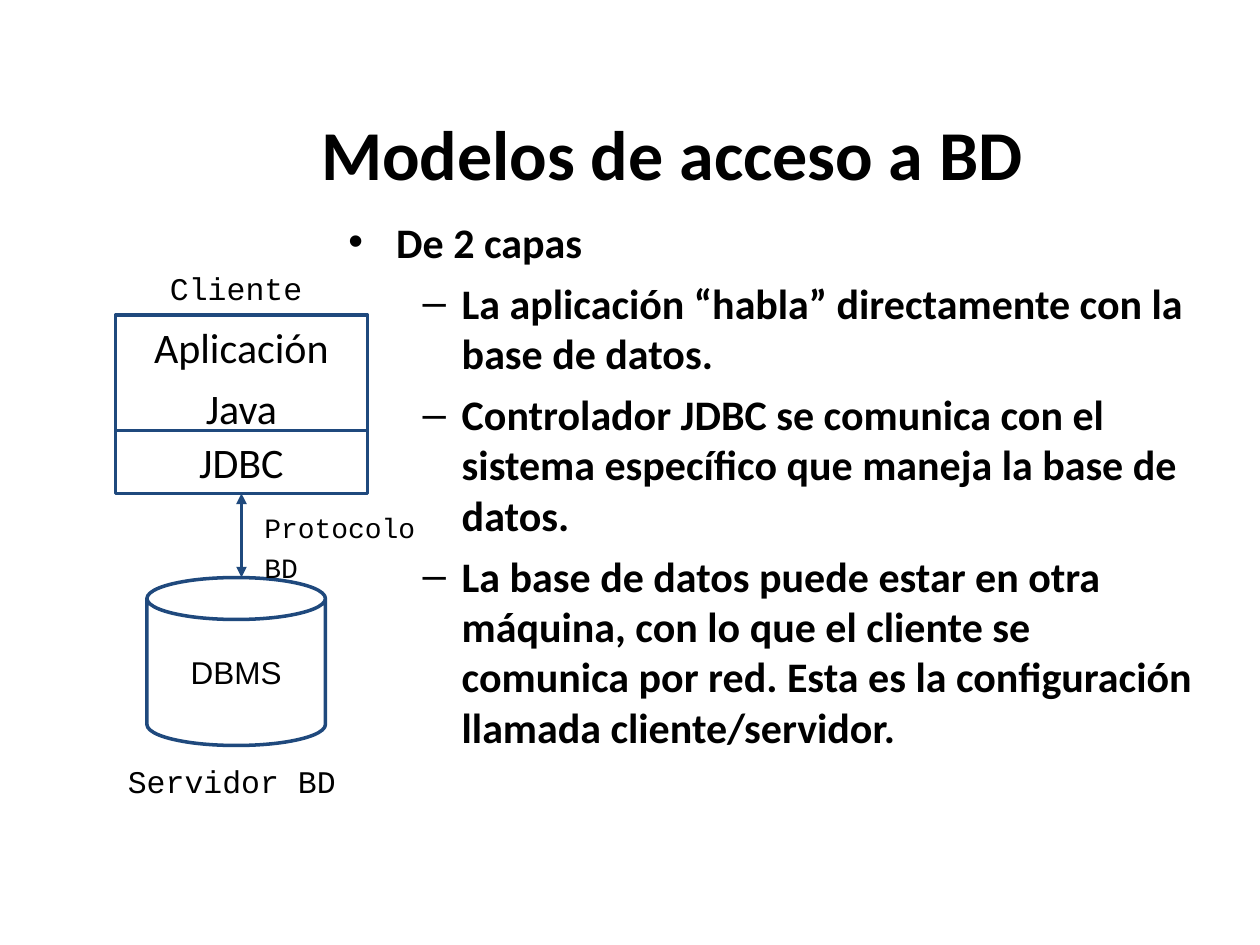
from lxml import etree
from pptx import Presentation
from pptx import util as u
from pptx.dml.color import RGBColor
from pptx.enum import shapes, text
from pptx.oxml.ns import qn

COLORS = {"ink": "000000", "outline": "1F497D"}
UNIT = u.Inches(1) // 12  # the slide is a grid of 120 columns by 90 rows
LINE_WIDTH = u.Pt(2)

FORMATS = {
    "title": {"name": "Calibri", "size": u.Pt(40), "bold": True},
    "body": {"name": "Calibri", "size": u.Pt(24), "bold": True},
    "layer": {"name": "Calibri", "size": u.Pt(24)},
    "server": {"name": "Arial", "size": u.Pt(18)},
    "label": {"name": "Courier New", "size": u.Pt(18)},
    "protocol": {"name": "Courier New", "size": u.Pt(16)},
}
# level: bullet sign, left margin and hanging indent in inches
BULLETS = [("•", 0.38, -0.38), ("–", 0.9, -0.31)]

# place is (column, row, columns, rows)
TITLE = ((14, 10, 100, 9), "title", ["Modelos de acceso a BD"])
POINTS = ((32, 20, 84, 58), "body", [
    (0, "De 2 capas"),
    (1, "La aplicación “habla” directamente con la base de datos."),
    (1, "Controlador JDBC se comunica con el sistema específico que maneja la base de datos."),
    (1, "La base de datos puede estar en otra máquina, con lo que el cliente se comunica "
        "por red. Esta es la configuración llamada cliente/servidor."),
])
BLOCKS = [
    (shapes.MSO_SHAPE.RECTANGLE, (11, 30, 24, 11), "layer", ["Aplicación", "Java"]),
    (shapes.MSO_SHAPE.RECTANGLE, (11, 41, 24, 6), "layer", ["JDBC"]),
    (shapes.MSO_SHAPE.CAN, (14, 55, 17, 16), "server", ["DBMS"]),
]
LINK = (23, 55, 23, 47)
LABELS = [
    ((15, 25, 16, 4), "label", ["Cliente"]),
    ((11, 72, 25, 9), "label", ["Servidor BD"]),
    ((24, 48, 19, 8), "protocol", ["Protocolo", "BD"]),
]


def on_grid(place):
    return [UNIT * n for n in place]


def color(name):
    return RGBColor.from_string(COLORS[name])


def add_bullet(para, level):
    sign, margin, indent = BULLETS[level]
    props = para._p.get_or_add_pPr()
    props.set("marL", str(u.Inches(margin)))
    props.set("indent", str(u.Inches(indent)))
    para.level = level
    etree.SubElement(props, qn("a:buFont"), typeface="Arial")
    etree.SubElement(props, qn("a:buChar"), char=sign)


def write(box, style, lines, align=text.PP_ALIGN.LEFT, anchor=text.MSO_ANCHOR.TOP, wrap=True):
    """Fill a box with paragraphs; a (level, text) line gets a bullet."""
    frame = box.text_frame
    frame.word_wrap = wrap
    frame.vertical_anchor = anchor
    for i, line in enumerate(lines):
        para = frame.paragraphs[0] if i == 0 else frame.add_paragraph()
        if isinstance(line, tuple):
            level, line = line
            add_bullet(para, level)
        para.alignment = align
        if i:
            para.space_before = FORMATS[style]["size"] // 4
        span = para.add_run()
        span.text = line
        for key, value in FORMATS[style].items():
            setattr(span.font, key, value)
        span.font.color.rgb = color("ink")


def add_text(page, place, style, lines, **layout):
    write(page.shapes.add_textbox(*on_grid(place)), style, lines, **layout)


def add_block(page, kind, place, style, lines):
    block = page.shapes.add_shape(kind, *on_grid(place))
    block.shadow.inherit = False
    block.fill.background()
    block.line.color.rgb = color("outline")
    block.line.width = LINE_WIDTH
    is_can = kind == shapes.MSO_SHAPE.CAN
    write(block, style, lines, align=text.PP_ALIGN.CENTER, wrap=not is_can,
          anchor=text.MSO_ANCHOR.MIDDLE if is_can else text.MSO_ANCHOR.TOP)


def add_double_arrow(page, ends):
    arrow = page.shapes.add_connector(shapes.MSO_CONNECTOR.STRAIGHT, *on_grid(ends))
    arrow.line.color.rgb = color("outline")
    arrow.line.width = LINE_WIDTH
    for end in ("a:headEnd", "a:tailEnd"):
        etree.SubElement(arrow.line._get_or_add_ln(), qn(end), type="triangle")
    etree.SubElement(arrow._element.spPr, qn("a:effectLst"))


def main():
    deck = Presentation()
    deck.slide_width, deck.slide_height = on_grid((120, 90))
    page = deck.slides.add_slide(deck.slide_layouts[6])
    add_text(page, *TITLE, align=text.PP_ALIGN.CENTER, anchor=text.MSO_ANCHOR.MIDDLE)
    add_text(page, *POINTS)
    for block in BLOCKS:
        add_block(page, *block)
    add_double_arrow(page, LINK)
    for label in LABELS:
        add_text(page, *label)
    deck.save("out.pptx")


if __name__ == "__main__":
    main()
